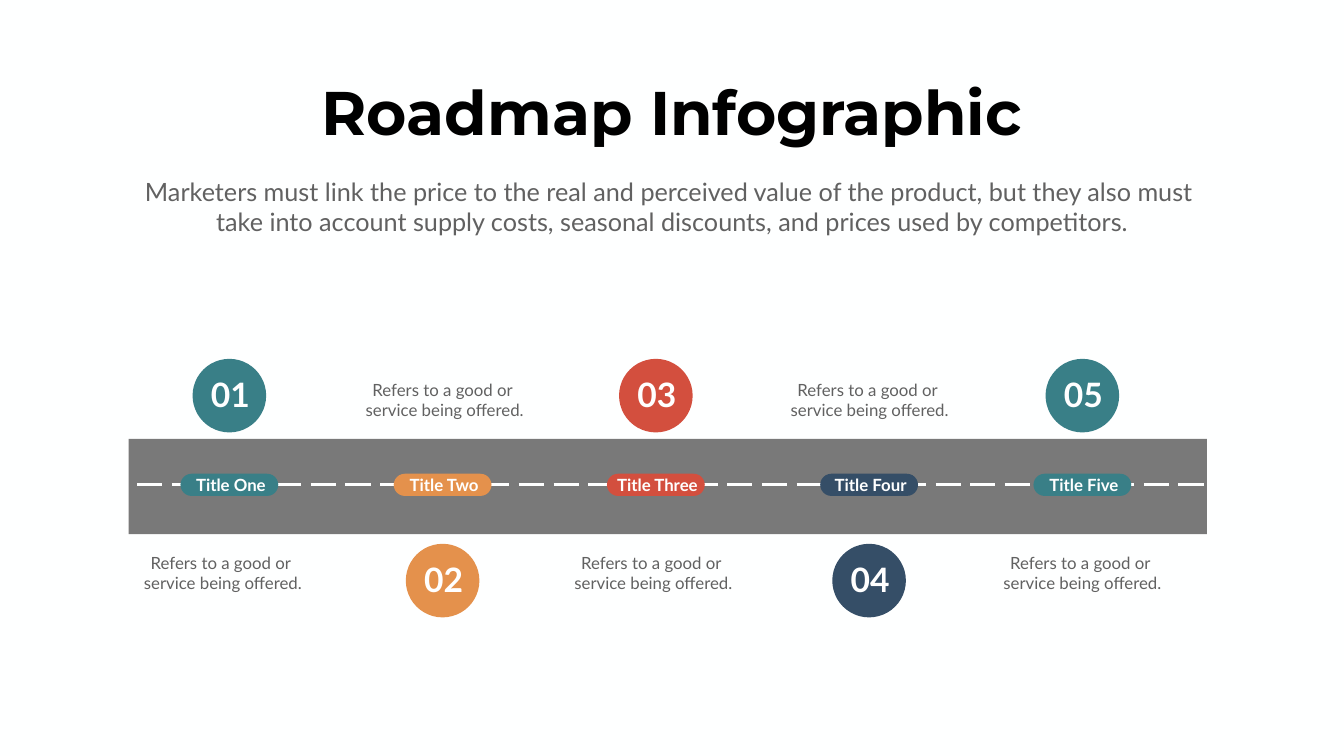
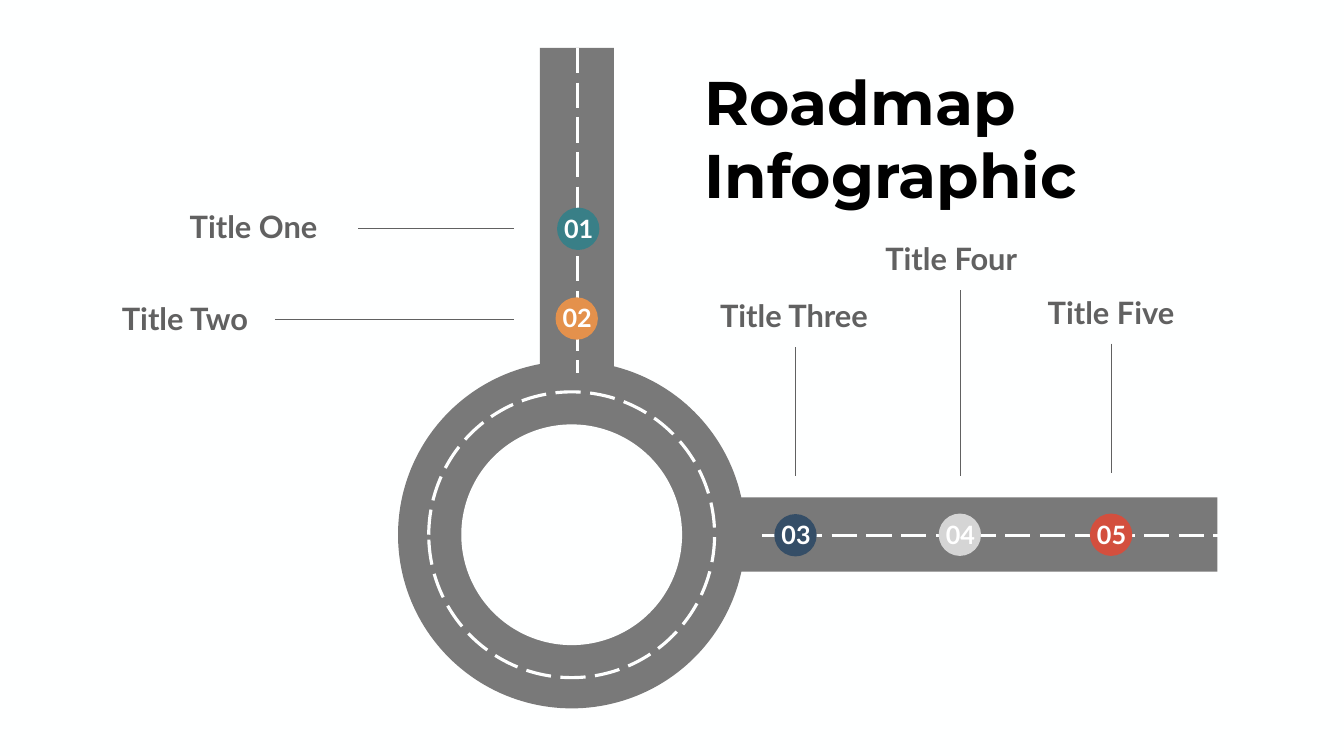
"""Build two roadmap infographic slides: a straight road and a roundabout."""
import pptx
import pptx.dml.color
import pptx.enum.dml
import pptx.enum.shapes
import pptx.enum.text
import pptx.util
from lxml import etree

SLIDE_WIDTH = pptx.util.Inches(26.66)
SLIDE_HEIGHT = pptx.util.Inches(15)
UNIT = SLIDE_HEIGHT / 15

COLORS = {
    "paper": "FEFFFF",
    "road": "797979",
    "text": "616161",
    "title": "000000",
    "white": "FFFFFF",
    "teal": "397F87",
    "orange": "E4914C",
    "red": "D34F3E",
    "navy": "354E67",
    "silver": "D5D5D5",
}
BODY_FONT = "Lato"
TITLE_FONT = "Montserrat"
SHAPES = pptx.enum.shapes.MSO_SHAPE
ALIGN = pptx.enum.text.PP_ALIGN
CAPTION = ["Refers to a good or ", "service being offered."]
SUBTITLE = [
    "Marketers must link the price to the real and perceived value of the product, but they also must ",
    "take into account supply costs, seasonal discounts, and prices used by competitors.",
]


def grid(*cells):
    """Turn counts of grid cells into slide lengths."""
    return [pptx.util.Emu(round(cell * UNIT)) for cell in cells]


def rgb(name):
    """Look up a palette colour."""
    return pptx.dml.color.RGBColor.from_string(COLORS[name])


def add_slide(presentation):
    """Add a blank slide with the shared background."""
    slide = presentation.slides.add_slide(presentation.slide_layouts[6])
    slide.background.fill.solid()
    slide.background.fill.fore_color.rgb = rgb("paper")
    return slide


def style_line(line, color, weight, dashed):
    """Set colour, weight and dash of a line."""
    line.color.rgb = rgb(color)
    line.width = pptx.util.Pt(weight)
    if dashed:
        line.dash_style = pptx.enum.dml.MSO_LINE.LONG_DASH


def add_block(slide, kind, box, color):
    """Add a filled preset shape without outline or shadow."""
    shape = slide.shapes.add_shape(kind, *grid(*box))
    shape.shadow.inherit = False
    shape.fill.solid()
    shape.fill.fore_color.rgb = rgb(color)
    shape.line.fill.background()
    return shape


def add_circle(slide, center, diameter, color):
    """Add a filled circle around a centre."""
    x, y = center
    box = (x - diameter / 2, y - diameter / 2, diameter, diameter)
    return add_block(slide, SHAPES.OVAL, box, color)


def add_line(slide, start, end, color="paper", weight=4.5, dashed=True):
    """Add a straight line, by default a dashed road marking."""
    connector = slide.shapes.add_connector(
        pptx.enum.shapes.MSO_CONNECTOR.STRAIGHT, *grid(*start, *end))
    style_line(connector.line, color, weight, dashed)
    etree.SubElement(connector._element.spPr, pptx.oxml.ns.qn("a:effectLst"))


def add_text(slide, lines, box, size, color="text", bold=True,
             font=BODY_FONT, align=ALIGN.CENTER, wrap=False):
    """Add a text box with one paragraph per line."""
    frame = slide.shapes.add_textbox(*grid(*box)).text_frame
    frame.word_wrap = wrap
    frame.auto_size = pptx.enum.text.MSO_AUTO_SIZE.SHAPE_TO_FIT_TEXT
    for index, line in enumerate(lines):
        paragraph = frame.paragraphs[0] if index == 0 else frame.add_paragraph()
        paragraph.alignment = align
        run = paragraph.add_run()
        run.text = line
        run.font.name = font
        run.font.size = pptx.util.Pt(size)
        run.font.bold = bold
        run.font.color.rgb = rgb(color)


def add_label(slide, text, center, width, height, size, color="text"):
    """Add a bold one-line label around a centre."""
    x, y = center
    add_text(slide, [text], (x - width / 2, y - height / 2, width, height), size, color)


def add_title(slide, lines, box, align):
    """Add a slide title in the shared title style."""
    add_text(slide, lines, box, 88, "title", font=TITLE_FONT, align=align)


def build_straight_road(presentation):
    """Build the slide with five stops along a horizontal road."""
    slide = add_slide(presentation)
    add_text(slide, SUBTITLE, (1.33, 3.45, 24, 1.31), 36, bold=False, wrap=True)
    add_title(slide, ["Roadmap Infographic"], (6.27, 1.41, 14.11, 1.58), ALIGN.CENTER)
    middle = 9.62
    add_block(slide, SHAPES.RECTANGLE, (2.55, 8.71, 21.39, 1.89), "road")
    add_line(slide, (2.72, middle), (24.11, middle))

    first_stop, pitch = 4.55, 4.23
    upper_circle, lower_circle = 7.85, 11.52
    upper_caption, lower_caption = 7.49, 10.91
    stops = [
        ("Title One", "teal", 1.6, 2.72),
        ("Title Two", "orange", 1.63, 7.12),
        ("Title Three", "red", 1.84, 11.26),
        ("Title Four", "navy", 1.66, 15.55),
        ("Title Five", "teal", 1.6, 19.77),
    ]
    for index, (title, color, title_width, caption_left) in enumerate(stops):
        x = first_stop + index * pitch
        circle_above = index % 2 == 0
        circle_y = upper_circle if circle_above else lower_circle
        caption_top = lower_caption if circle_above else upper_caption
        add_circle(slide, (x, circle_y), 1.46, color)
        pill = add_block(slide, SHAPES.ROUNDED_RECTANGLE,
                         (x - 0.97, middle - 0.22, 1.94, 0.44), color)
        pill.adjustments[0] = 0.5
        add_text(slide, CAPTION, (caption_left, caption_top, 3.4, 0.91), 24,
                 bold=False, wrap=True)
        add_label(slide, f"{index + 1:02}", (x + 0.02, circle_y - 0.02),
                  0.98, 0.91, 48, "white")
        add_label(slide, title, (x + 0.03, middle - 0.01), title_width, 0.5, 24, "white")


def build_roundabout(presentation):
    """Build the slide with two roads meeting at a roundabout."""
    slide = add_slide(presentation)
    center = (11.34, 10.61)
    add_circle(slide, center, 6.89, "road")
    add_circle(slide, center, 4.38, "paper")
    lane = add_circle(slide, center, 5.67, "paper")
    lane.fill.background()
    style_line(lane.line, "paper", 4.5, True)

    add_block(slide, SHAPES.RECTANGLE, (14.24, 9.87, 9.91, 1.47), "road")
    add_block(slide, SHAPES.RECTANGLE, (10.71, 0.95, 1.47, 6.68), "road")
    add_line(slide, (11.45, 0.95), (11.45, 7.4))
    add_line(slide, (15.12, 10.62), (24.48, 10.62))

    stops = [
        ("Title One", "teal", (11.47, 4.54), (5.03, 4.49), 2.77, (7.11, 4.54), (10.19, 4.54)),
        ("Title Two", "orange", (11.44, 6.32), (3.67, 6.31), 2.81, (5.45, 6.33), (10.19, 6.33)),
        ("Title Three", "navy", (15.78, 10.62), (15.75, 6.25), 3.2, (15.78, 6.89), (15.78, 9.44)),
        ("Title Four", "silver", (19.04, 10.61), (18.87, 5.13), 2.87, (19.04, 5.76), (19.04, 9.44)),
        ("Title Five", "red", (22.04, 10.61), (22.04, 6.19), 2.75, (22.05, 6.82), (22.05, 9.38)),
    ]
    for number, stop in enumerate(stops, 1):
        title, color, marker, title_center, title_width, start, end = stop
        add_line(slide, start, end, "text", 0.88, False)
        add_circle(slide, marker, 0.84, color)
        add_label(slide, title, title_center, title_width, 0.84, 44)
        add_label(slide, f"{number:02}", (marker[0] + 0.01, marker[1] - 0.01),
                  0.79, 0.71, 36, "white")
    add_title(slide, ["Roadmap", "Infographic"], (13.88, 1.21, 7.58, 3.06), ALIGN.LEFT)


def main():
    """Create the presentation and save it."""
    presentation = pptx.Presentation()
    presentation.slide_width = SLIDE_WIDTH
    presentation.slide_height = SLIDE_HEIGHT
    build_straight_road(presentation)
    build_roundabout(presentation)
    presentation.save("out.pptx")


if __name__ == "__main__":
    main()
